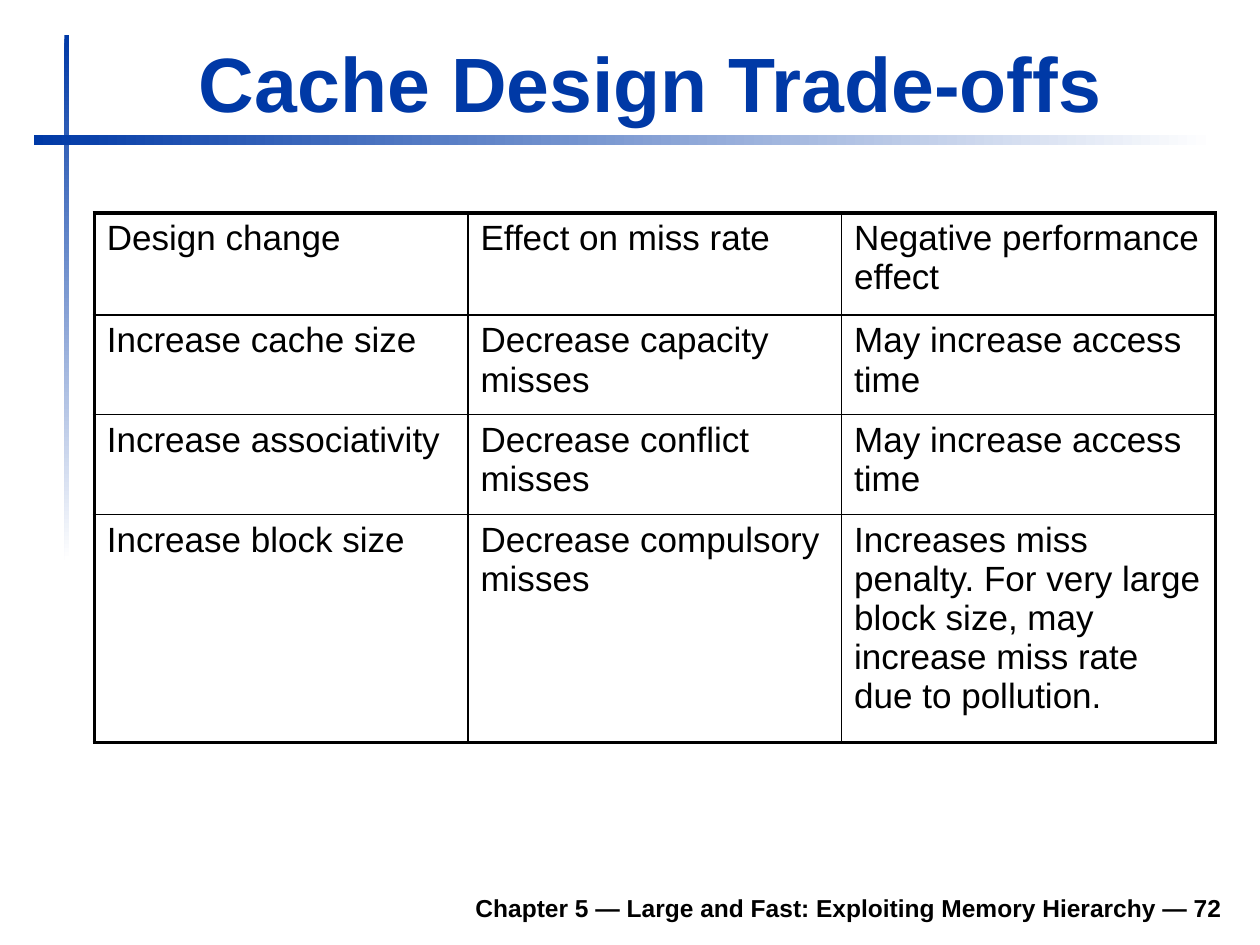
"""Build the slide on cache design trade-offs."""
from lxml.etree import SubElement
from pptx import Presentation
from pptx.dml.color import RGBColor
from pptx.enum.shapes import MSO_SHAPE
from pptx.enum.text import MSO_ANCHOR, PP_ALIGN
from pptx.oxml.ns import qn
from pptx.util import Cm, Pt

BLUE = RGBColor(0x00, 0x39, 0xA6)
WHITE = RGBColor(0xFF, 0xFF, 0xFF)
BLACK = RGBColor(0x00, 0x00, 0x00)
FONT = "Arial"
OUTER, HEADER, INNER = 2.25, 1.5, 1

ROW_HEIGHTS = (2.06, 2.01, 2.01, 4.6)
ROWS = (
    ("Design change", "Effect on miss rate", "Negative performance effect"),
    ("Increase cache size", "Decrease capacity misses", "May increase access time"),
    ("Increase associativity", "Decrease conflict misses", "May increase access time"),
    ("Increase block size", "Decrease compulsory misses",
     "Increases miss penalty. For very large block size, may increase "
     "miss rate due to pollution."),
)


def add_run(p, text, size, color=BLACK, bold=False):
    r = p.add_run()
    r.text = text
    r.font.name = FONT
    r.font.size = Pt(size)
    r.font.bold = bold
    r.font.color.rgb = color


def add_gradient_bar(s, left, top, width, height, angle):
    sp = s.shapes.add_shape(MSO_SHAPE.RECTANGLE, Cm(left), Cm(top), Cm(width), Cm(height))
    sp.shadow.inherit = False
    sp.line.fill.background()
    sp.fill.gradient()
    sp.fill.gradient_angle = angle
    for stop, color in zip(sp.fill.gradient_stops, (BLUE, WHITE)):
        stop.color.rgb = color


def add_text(s, text, left, top, width, height, size, color, align):
    tf = s.shapes.add_textbox(Cm(left), Cm(top), Cm(width), Cm(height)).text_frame
    tf.word_wrap = True
    tf.vertical_anchor = MSO_ANCHOR.BOTTOM
    p = tf.paragraphs[0]
    p.alignment = align
    add_run(p, text, size, color, bold=True)


def set_borders(cell, **widths):
    tc_pr = cell._tc.get_or_add_tcPr()
    for side, width in widths.items():
        ln = SubElement(tc_pr, qn(f"a:ln{side}"), w=str(Pt(width)))
        fill = SubElement(ln, qn("a:solidFill"))
        SubElement(fill, qn("a:srgbClr"), val=str(BLACK))


def add_tradeoff_table(s, left, top, width):
    n_rows, n_cols = len(ROWS), len(ROWS[0])
    table = s.shapes.add_table(n_rows, n_cols, Cm(left), Cm(top),
                               Cm(width), Cm(sum(ROW_HEIGHTS))).table
    table.first_row = table.horz_banding = False
    for col in table.columns:
        col.width = Cm(width / n_cols)
    rules = (OUTER, HEADER) + (INNER,) * (n_rows - 2) + (OUTER,)
    for i, texts in enumerate(ROWS):
        table.rows[i].height = Cm(ROW_HEIGHTS[i])
        for j, text in enumerate(texts):
            cell = table.cell(i, j)
            set_borders(cell,
                        L=OUTER if j == 0 else INNER,
                        R=OUTER if j == n_cols - 1 else INNER,
                        T=rules[i], B=rules[i + 1])
            cell.fill.background()
            add_run(cell.text_frame.paragraphs[0], text, 20)


def main():
    prs = Presentation()
    prs.slide_width, prs.slide_height = Cm(25.4), Cm(19.05)
    s = prs.slides.add_slide(prs.slide_layouts[6])
    add_gradient_bar(s, 1.3, 0.71, 0.1, 10.59, 270)
    add_gradient_bar(s, 0.69, 2.72, 23.8, 0.2, 0)
    add_text(s, "Chapter 5 — Large and Fast: Exploiting Memory Hierarchy — 72",
             2.39, 17.73, 22.5, 0.99, 14, BLACK, PP_ALIGN.RIGHT)
    add_text(s, "Cache Design Trade-offs", 3.76, 0.58, 21.64, 2.13, 44, BLUE, PP_ALIGN.LEFT)
    add_tradeoff_table(s, 1.9, 4.29, 22.6)
    prs.save("out.pptx")


if __name__ == "__main__":
    main()
